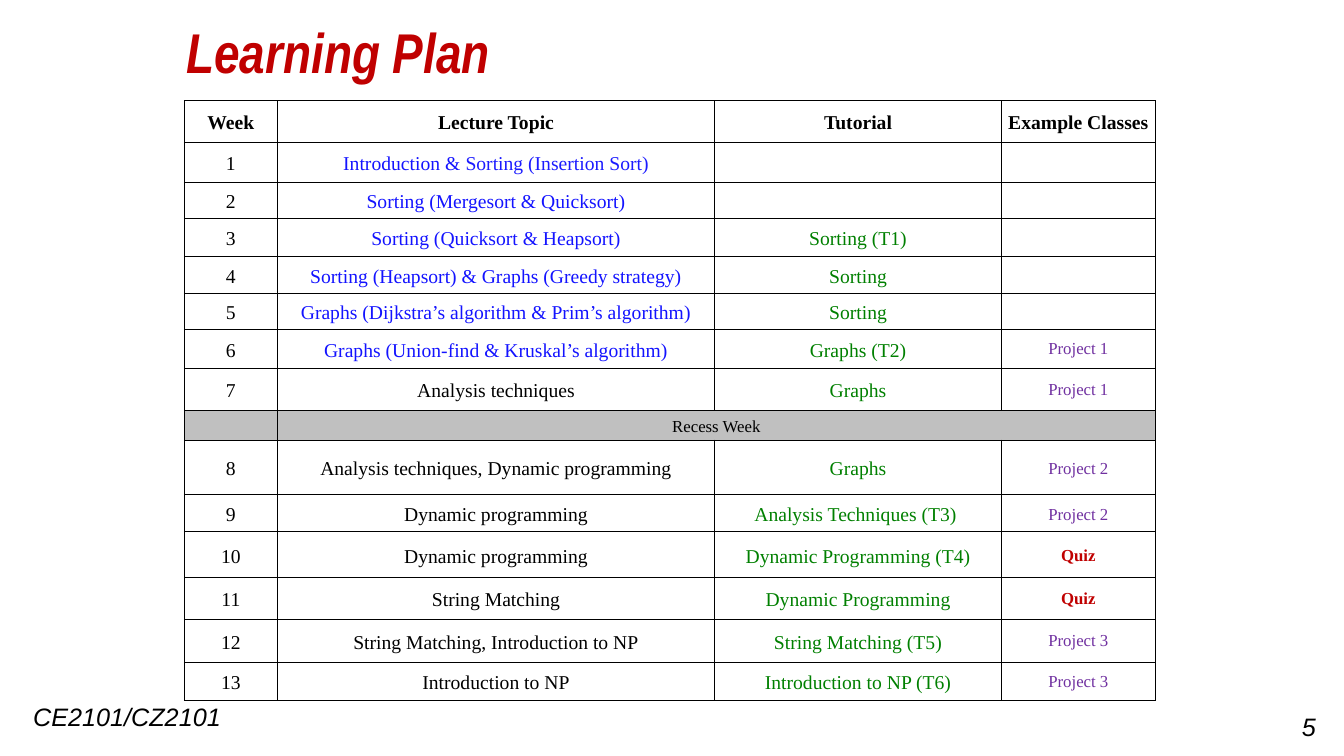
from dataclasses import dataclass

from lxml import etree
from pptx import Presentation
from pptx.dml.color import RGBColor
from pptx.enum.text import MSO_ANCHOR, MSO_AUTO_SIZE, PP_ALIGN
from pptx.oxml.ns import qn
from pptx.util import Inches, Pt

LEFT, CENTER, RIGHT = PP_ALIGN.LEFT, PP_ALIGN.CENTER, PP_ALIGN.RIGHT
TOP, MIDDLE, BOTTOM = MSO_ANCHOR.TOP, MSO_ANCHOR.MIDDLE, MSO_ANCHOR.BOTTOM
FIT_SHAPE = MSO_AUTO_SIZE.SHAPE_TO_FIT_TEXT

WIDTH, HEIGHT = Inches(13.33), Inches(7.5)
COLORS = {
    "black": "000000", "red": "C00000", "blue": "1313FF", "light blue": "1B1BFF",
    "green": "008000", "purple": "7030A0", "gray": "C0C0C0",
}
TABLE_FONT = "Times New Roman"
BODY_SIZE, SMALL_SIZE = 14, 12
LOOSE, SINGLE = 1.15, 1.0


@dataclass
class Label:
    """A text box placed in percent of the slide's size."""
    text: str
    left: float
    top: float
    width: float
    height: float
    size: int
    font: str = "Arial"
    color: str = "black"
    bold: bool = False
    align: PP_ALIGN = LEFT
    anchor: MSO_ANCHOR = TOP
    wrap: bool = True


@dataclass
class Week:
    """One teaching week; height is a percent of the slide's height."""
    height: float
    lecture: str
    tutorial: str = ""
    example: str = ""
    lecture_color: str = "black"
    example_spacing: float = SINGLE


LABELS = [
    Label("CE2101/CZ2101", 1.73, 92.13, 15.6, 5.33, 18, wrap=False),
    Label("5", 77.79, 93.47, 20.86, 4.8, 18, align=RIGHT),
    Label("Learning Plan", 13.13, 0, 66.92, 11.87, 40, "Arial Narrow", "red", True,
          anchor=BOTTOM),
]

# Table grid, in percent of the slide's size
TABLE_LEFT, TABLE_TOP = 13.73, 13.33
COLUMN_WIDTHS = [6.9, 32.56, 21.31, 11.48]
HEADER_HEIGHT, RECESS_HEIGHT = 5.5, 3.93
HEADINGS = ["Week", "Lecture Topic", "Tutorial", "Example Classes"]
RECESS_ROW = 8
WEEKS = [
    Week(5.33, "Introduction & |Sorting (Insertion Sort)", lecture_color="blue"),
    Week(4.75, "Sorting (Mergesort & Quicksort)", lecture_color="blue"),
    Week(5, "Sorting (Quicksort & Heapsort)", "Sorting (T1)", lecture_color="blue"),
    Week(4.93, "Sorting (Heapsort) & Graphs (Greedy strategy)", "Sorting",
         lecture_color="blue"),
    Week(4.75, "Graphs (Dijkstra’s algorithm & Prim’s algorithm)", "Sorting",
         lecture_color="blue"),
    Week(5.17, "Graphs (Union-find & Kruskal’s algorithm)", "Graphs (T2)", "Project 1",
         lecture_color="blue"),
    Week(5.58, "Analysis techniques", "Graphs", "Project 1"),
    Week(7.18, "Analysis techniques, Dynamic programming", "Graphs", "Project 2",
         example_spacing=LOOSE),
    Week(4.95, "Dynamic programming", "Analysis Techniques (T3) ", "Project 2",
         example_spacing=LOOSE),
    Week(6.05, "Dynamic programming", "Dynamic Programming (T4)", "Quiz",
         example_spacing=LOOSE),
    Week(5.55, "String Matching", "Dynamic Programming", "Quiz"),
    Week(5.7, "String Matching, Introduction to NP", "String Matching (T5)", "Project 3"),
    Week(4.99, "Introduction to NP", "Introduction to NP (T6)", "Project 3"),
]


def across(percent: float) -> int:
    return round(WIDTH * percent / 100)


def down(percent: float) -> int:
    return round(HEIGHT * percent / 100)


def rgb(name: str) -> RGBColor:
    return RGBColor.from_string(COLORS[name])


def style_run(r, font: str, size: int, color: str, bold: bool, italic: bool = False) -> None:
    r.font.name, r.font.size = font, Pt(size)
    r.font.bold, r.font.italic = bold, italic
    r.font.color.rgb = rgb(color)


def add_label(s, label: Label) -> None:
    sp = s.shapes.add_textbox(across(label.left), down(label.top),
                              across(label.width), down(label.height))
    tf = sp.text_frame
    tf.text = label.text
    tf.word_wrap = label.wrap
    tf.vertical_anchor = label.anchor
    if not label.wrap:
        tf.auto_size = FIT_SHAPE
    p = tf.paragraphs[0]
    p.alignment = label.align
    style_run(p.runs[0], label.font, label.size, label.color, label.bold, italic=True)


def format_cell(cell, fill: str = "") -> None:
    """Set margins, a black one-point border and the fill."""
    cell.margin_left = cell.margin_right = Inches(0.06)
    cell.margin_top = cell.margin_bottom = 0
    cell.vertical_anchor = MIDDLE
    tc_pr = cell._tc.get_or_add_tcPr()
    for side in ("a:lnL", "a:lnR", "a:lnT", "a:lnB"):
        line = etree.SubElement(tc_pr, qn(side), w=str(Pt(1)))
        solid = etree.SubElement(line, qn("a:solidFill"))
        etree.SubElement(solid, qn("a:srgbClr"), val=COLORS["black"])
    if fill:
        cell.fill.solid()
        cell.fill.fore_color.rgb = rgb(fill)
    else:
        cell.fill.background()


def write_cell(cell, text: str, color: str = "black", size: int = BODY_SIZE,
               bold: bool = False, spacing: float = LOOSE) -> None:
    """Write centred text; a bar starts a second run in light blue."""
    p = cell.text_frame.paragraphs[0]
    if not text:
        # Keep an empty cell from stretching its row
        etree.SubElement(p._p, qn("a:endParaRPr"), sz=str(SMALL_SIZE * 100))
        return
    p.alignment, p.line_spacing = CENTER, spacing
    for part, part_color in zip(text.split("|"), (color, "light blue")):
        r = p.add_run()
        r.text = part
        style_run(r, TABLE_FONT, size, part_color, bold)


def write_week(table, row: int, number: int, week: Week) -> None:
    quiz = week.example == "Quiz"
    write_cell(table.cell(row, 0), str(number))
    write_cell(table.cell(row, 1), week.lecture, week.lecture_color)
    write_cell(table.cell(row, 2), week.tutorial, "green")
    write_cell(table.cell(row, 3), week.example, "red" if quiz else "purple",
               SMALL_SIZE, quiz, week.example_spacing)


def add_plan(s) -> None:
    heights = [HEADER_HEIGHT] + [week.height for week in WEEKS]
    heights.insert(RECESS_ROW, RECESS_HEIGHT)
    table = s.shapes.add_table(len(heights), len(COLUMN_WIDTHS),
                               across(TABLE_LEFT), down(TABLE_TOP),
                               across(sum(COLUMN_WIDTHS)), down(sum(heights))).table
    table.first_row = table.horz_banding = False
    for column, width in zip(table.columns, COLUMN_WIDTHS):
        column.width = across(width)
    for i, (row, height) in enumerate(zip(table.rows, heights)):
        row.height = down(height)
        for cell in row.cells:
            format_cell(cell, "gray" if i == RECESS_ROW else "")

    # Heading row
    for i, heading in enumerate(HEADINGS):
        write_cell(table.cell(0, i), heading, bold=True)

    # Teaching weeks, with the recess between them
    for number, week in enumerate(WEEKS, start=1):
        write_week(table, number + (number >= RECESS_ROW), number, week)
    recess = table.cell(RECESS_ROW, 1)
    recess.merge(table.cell(RECESS_ROW, 3))
    write_cell(recess, "Recess Week", size=SMALL_SIZE)
    write_cell(table.cell(RECESS_ROW, 0), "")


def main() -> None:
    prs = Presentation()
    prs.slide_width, prs.slide_height = WIDTH, HEIGHT
    s = prs.slides.add_slide(prs.slide_layouts[6])
    for label in LABELS:
        add_label(s, label)
    add_plan(s)
    prs.save("out.pptx")


if __name__ == "__main__":
    main()
